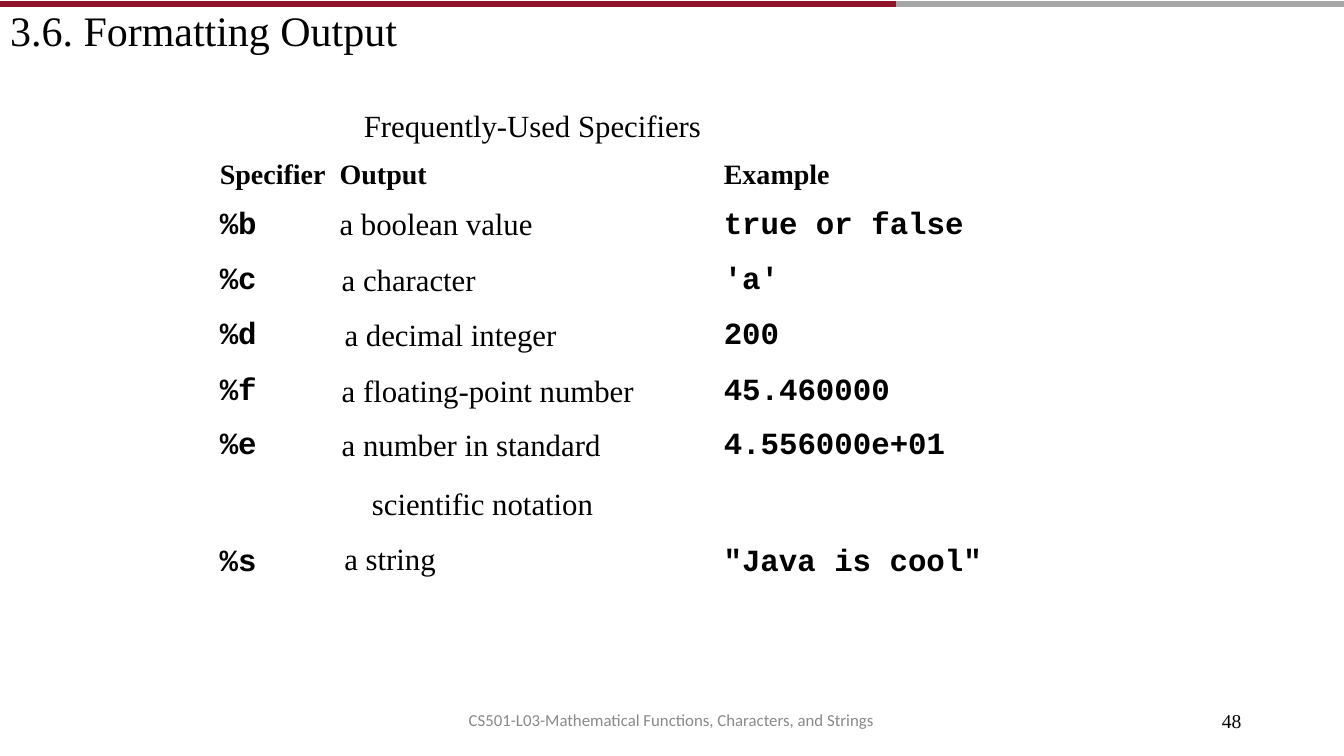
from lxml import etree
from pptx import Presentation
from pptx.dml.color import RGBColor as RGB
from pptx.enum.shapes import MSO_CONNECTOR as CONN
from pptx.enum.text import MSO_ANCHOR as ANCHOR, PP_ALIGN as ALIGN
from pptx.oxml.ns import qn
from pptx.util import Pt

SERIF, MONO, SANS = "Times New Roman", "Courier New", "Calibri"


def color(value):
    return RGB.from_string(value)


def write(tf, lines, font, size, top=0.7, before=1, spacing=None,
          bold=False, fill="000000"):
    """Fill a text frame or table cell with (text, left indent) lines."""
    for side, gap in dict(left=0, top=top, right=0, bottom=0).items():
        setattr(tf, f"margin_{side}", Pt(gap))
    body = getattr(tf, "text_frame", tf)
    body.word_wrap = True
    for i, (text, indent) in enumerate(lines):
        p = body.add_paragraph() if i else body.paragraphs[0]
        p.alignment = ALIGN.LEFT
        p.space_before = Pt(0 if i else before)
        p.line_spacing = spacing
        pPr = p._p.get_or_add_pPr()
        pPr.set("marL", str(Pt(indent)))
        pPr.set("indent", "0")
        r = p.add_run()
        r.text = text
        for name, value in dict(name=font, size=Pt(size), bold=bold).items():
            setattr(r.font, name, value)
        r.font.color.rgb = color(fill)


prs = Presentation()
prs.slide_width, prs.slide_height = Pt(960), Pt(540)
s = prs.slides.add_slide(prs.slide_layouts[5])

# Title
title = s.shapes.title
for name, value in dict(left=6.5, top=1.4, width=330, height=38.2).items():
    setattr(title, name, Pt(value))
title.text_frame.vertical_anchor = ANCHOR.BOTTOM
write(title.text_frame, [("3.6. Formatting Output", 0.7)], SERIF, 30)

# Two-colour rule along the top edge
for x1, x2, shade in [(640, 960, "A6A6A6"), (0, 640, "90152A")]:
    rule = s.shapes.add_connector(CONN.STRAIGHT, Pt(x1), Pt(2.9), Pt(x2), Pt(2.9))
    rule.line.color.rgb = color(shade)
    rule.line.width = Pt(4)
    etree.SubElement(rule._element.spPr, qn("a:effectLst"))

# Specifier table: row height, top margin, space before, output indent, texts
rows = [
    (29.5, 0, 0, 5, "Specifier", "Output", "Example"),
    (40.3, 5, 4.7, 5, "%b", "a boolean value", "true or false"),
    (39.6, 4.3, 4.4, 6.5, "%c", "a character", "'a'"),
    (32.4, 4.3, 4, 8.6, "%d", "a decimal integer", "200"),
    (46.1, 11.5, 11.2, 6.5, "%f", "a floating-point number", "45.460000"),
    (32.4, 4.3, 4, 6.5, "%e", "a number in standard", "4.556000e+01"),
]
table = s.shapes.add_table(len(rows), 3, Pt(154.8), Pt(114.5),
                           Pt(537.1), Pt(220.3)).table
table.first_row = table.horz_banding = False
for col, width in zip(table.columns, (82.8, 247.7, 206.6)):
    col.width = Pt(width)
for i, (height, top, before, indent, *texts) in enumerate(rows):
    table.rows[i].height = Pt(height)
    for j, text in enumerate(texts):
        cell = table.cell(i, j)
        cell.fill.background()
        line = [(text, (2.2, indent, 31.7)[j])]
        if i == 0:
            write(cell, line, SERIF, 20, top, before, Pt(21.8), bold=True)
        else:
            write(cell, line, SERIF if j == 1 else MONO, 22, top, before,
                  bold=j != 1)

# Caption, last specifier row, footer and page number
boxes = [
    ((259.2, 75.6, 260, 28.1), [("Frequently-Used Specifiers", 0.7)],
     dict(font=SERIF, size=22)),
    ((239.8, 331.9, 185, 81.4), [("scientific notation", 25.9), ("a string", 6.2)],
     dict(font=SERIF, size=22, spacing=1.51)),
    ((156.2, 385.2, 40, 28.1), [("%s", 0.7)],
     dict(font=MONO, size=22, bold=True)),
    ((516.2, 385.2, 200, 28.1), [('"Java is cool"', 0.7)],
     dict(font=MONO, size=22, bold=True)),
    ((334.1, 506.2, 300, 16.6),
     [("CS501-L03-Mathematical Functions, Characters, and Strings", 0.7)],
     dict(font=SANS, size=12, before=0.4, fill="898989")),
    ((869.8, 506.9, 21, 17.3), [("48", 2.9)],
     dict(font=SERIF, size=14, top=0, before=0, spacing=Pt(16.3))),
]
for place, lines, look in boxes:
    box = s.shapes.add_textbox(*map(Pt, place))
    write(box.text_frame, lines, **look)

prs.save("out.pptx")
